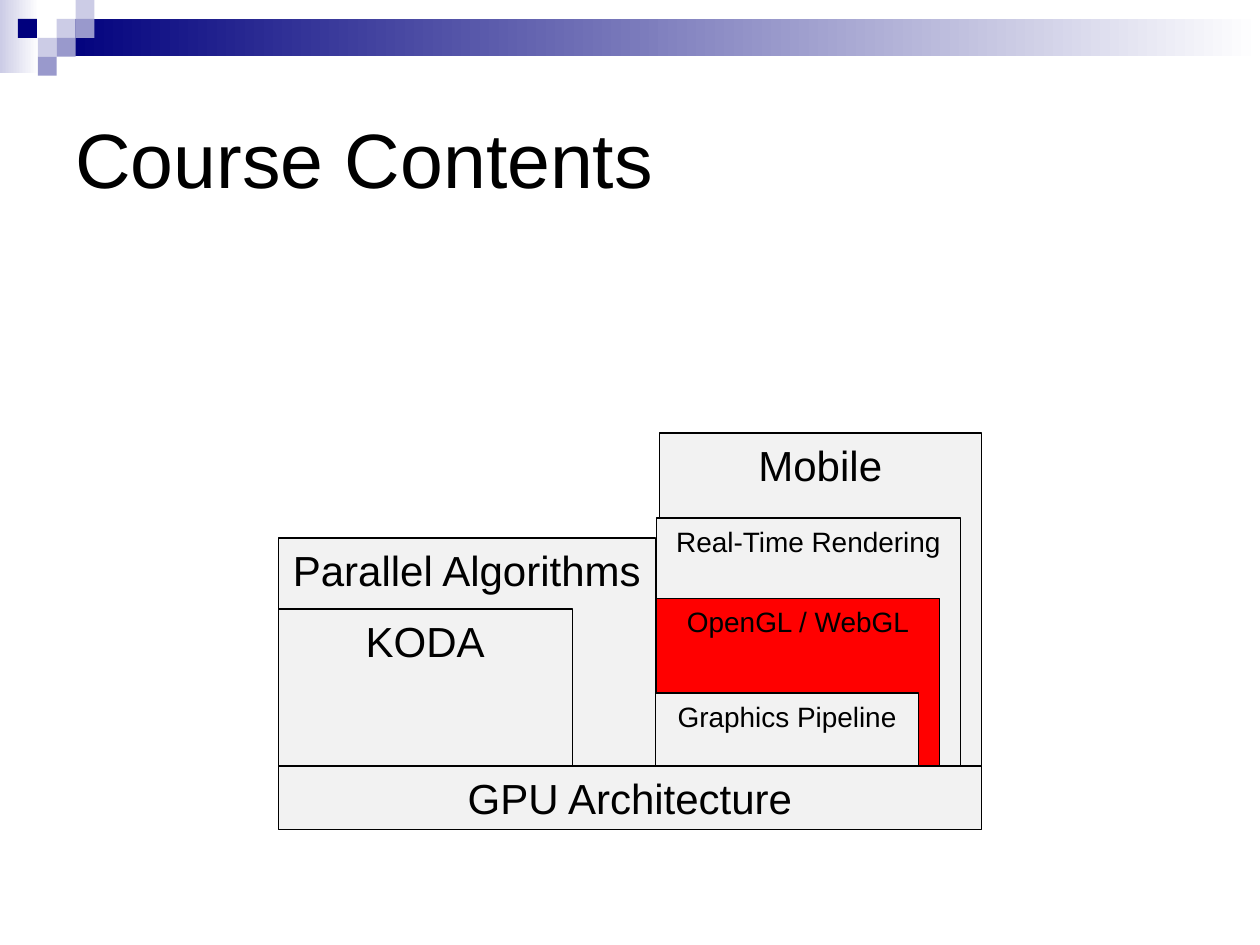
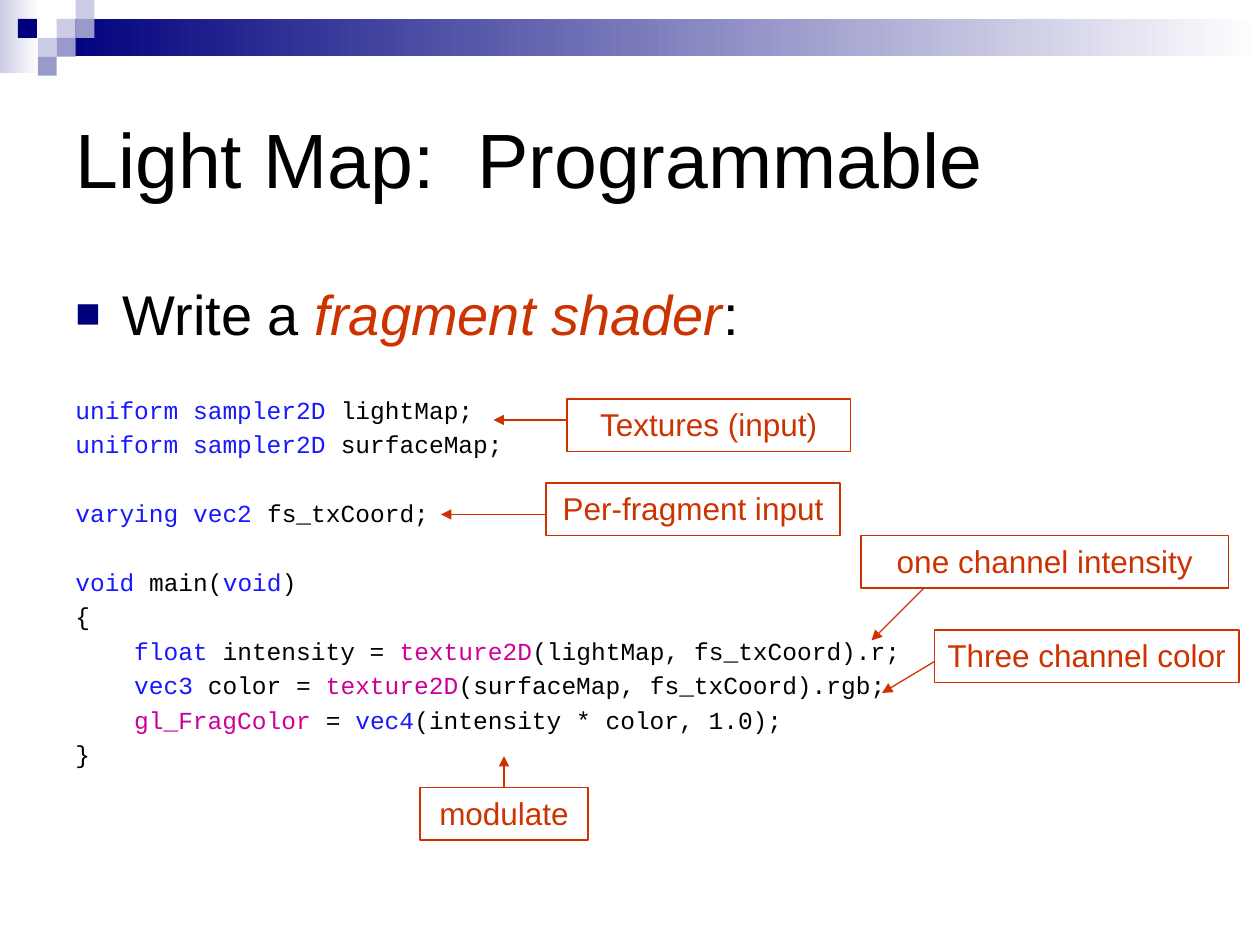
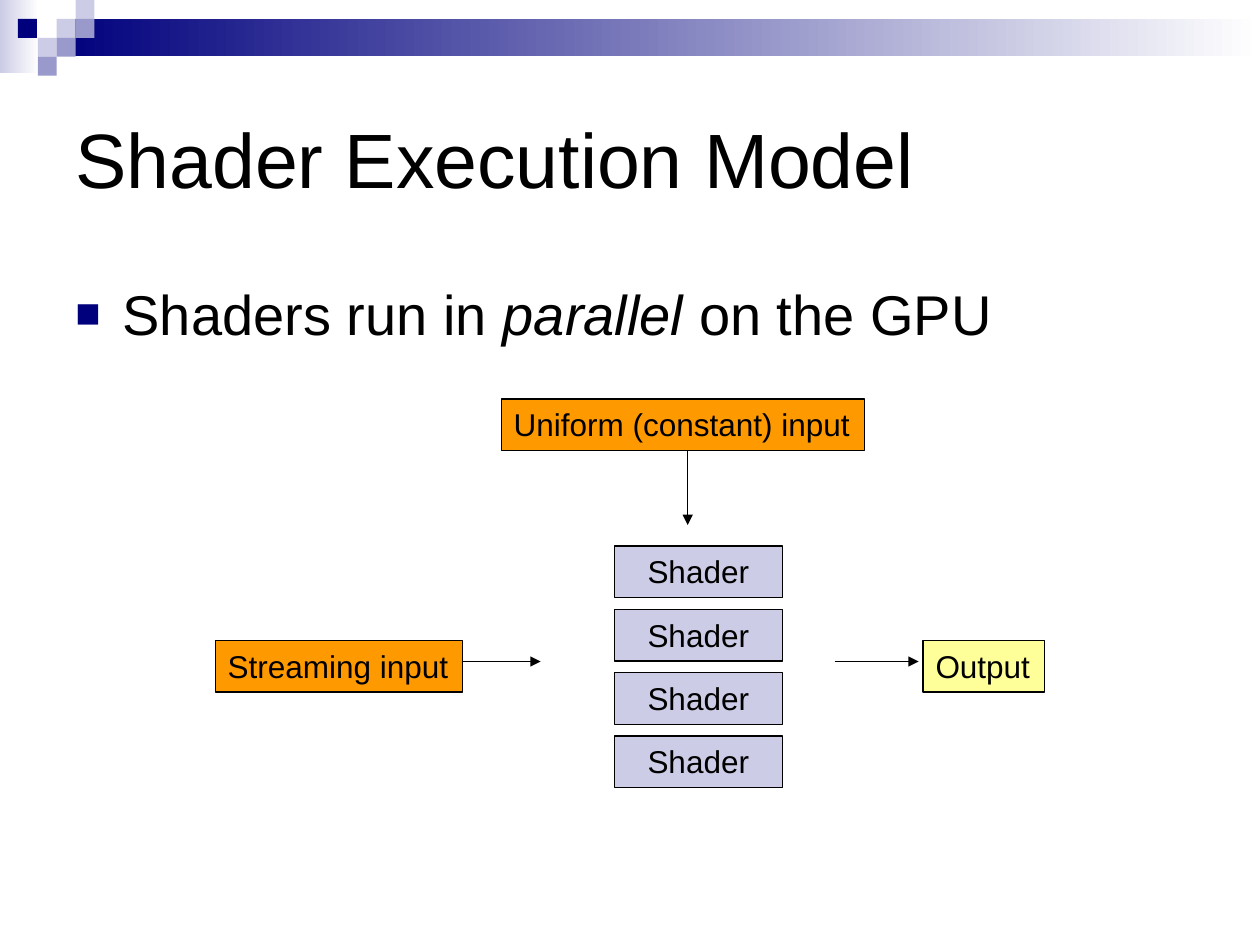
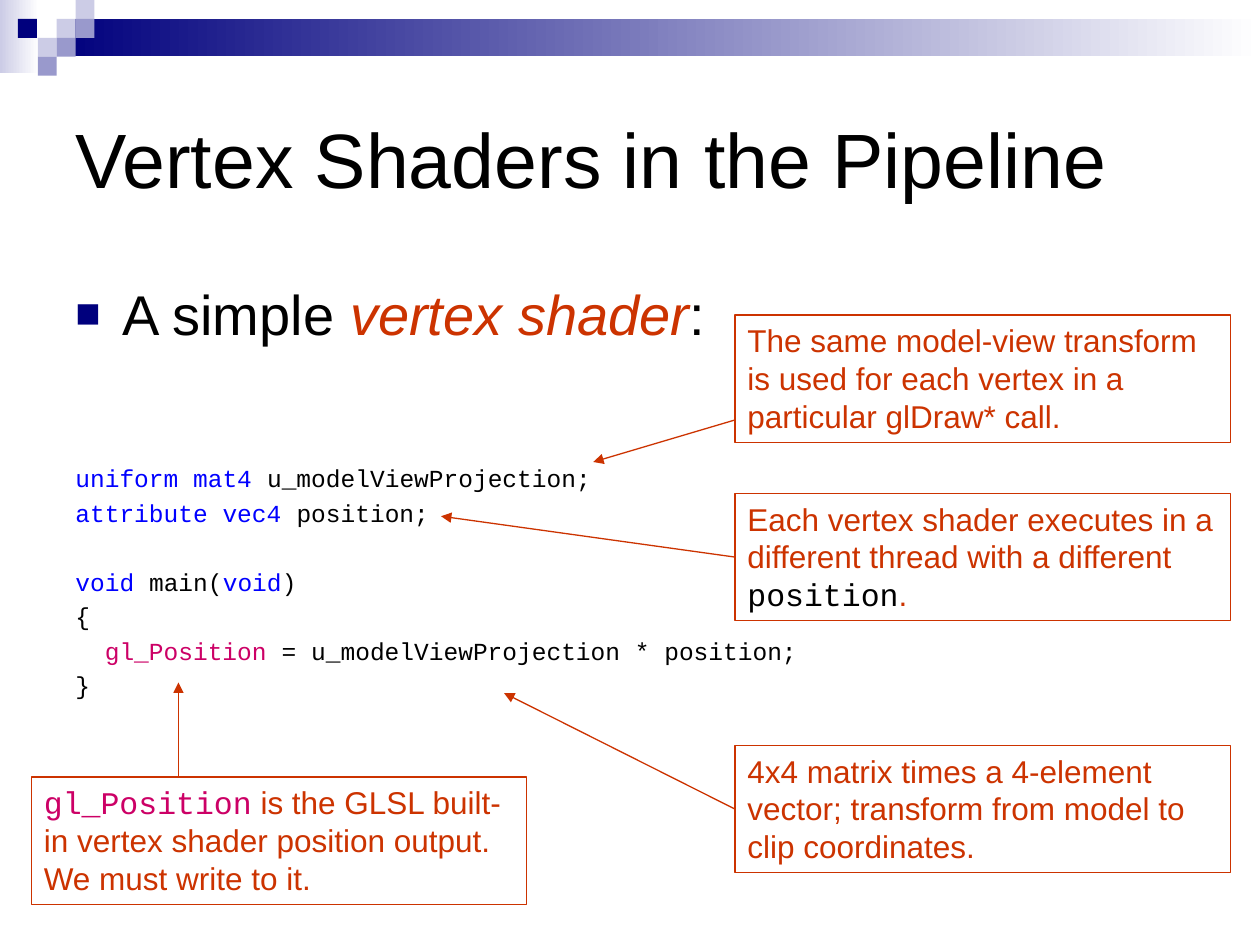
from typing import NamedTuple

from lxml import etree
from pptx import Presentation
from pptx.dml.color import RGBColor
from pptx.enum.shapes import MSO_CONNECTOR, MSO_SHAPE
from pptx.enum.text import MSO_ANCHOR, PP_ALIGN
from pptx.oxml.ns import qn
from pptx.util import Pt

RECT = MSO_SHAPE.RECTANGLE
STRAIGHT = MSO_CONNECTOR.STRAIGHT
TOP, MIDDLE = MSO_ANCHOR.TOP, MSO_ANCHOR.MIDDLE
LEFT, CENTER = PP_ALIGN.LEFT, PP_ALIGN.CENTER
SITE_TOP, SITE_LEFT = 0, 1

BLACK = RGBColor(0x00, 0x00, 0x00)
WHITE = RGBColor(0xFF, 0xFF, 0xFF)
NAVY = RGBColor(0x00, 0x00, 0x7D)
LAVENDER = RGBColor(0xCC, 0xCC, 0xE6)
PERIWINKLE = RGBColor(0x99, 0x99, 0xCC)
GRAY = RGBColor(0xF2, 0xF2, 0xF2)
RED = RGBColor(0xFF, 0x00, 0x00)
RUST = RGBColor(0xCC, 0x33, 0x00)
ORANGE = RGBColor(0xFF, 0x99, 0x00)
YELLOW = RGBColor(0xFF, 0xFF, 0x99)
KEYWORD = RGBColor(0x18, 0x18, 0xFF)
BLUE = RGBColor(0x00, 0x00, 0xFF)
MAGENTA = RGBColor(0xCC, 0x00, 0x99)
PINK = RGBColor(0xCC, 0x00, 0x66)

SANS, MONO = "Arial", "Courier New"
LINE_WIDTH = 0.75
GRID = 10.8
CODE_SIZE = 14
CODE_GAP = 2.9
CODE_PITCH = 19.6
CODE_CHAR = 8.4
CODE_TOP = 222
CODE_BOTTOM = 564
BULLET_INDENT = 27


class Run(NamedTuple):
    text: str
    color: RGBColor = BLACK
    font: str = SANS
    italic: bool = False


def add_runs(p, runs, size):
    for run in runs:
        r = p.add_run()
        r.text = run.text
        r.font.size = Pt(size)
        r.font.name = run.font
        r.font.italic = run.italic
        r.font.color.rgb = run.color


def add_rect(slide, box, fill=None, line=None):
    sp = slide.shapes.add_shape(RECT, *map(Pt, box))
    sp.shadow.inherit = False
    if fill is None:
        sp.fill.background()
    else:
        sp.fill.solid()
        sp.fill.fore_color.rgb = fill
    if line is None:
        sp.line.fill.background()
    else:
        sp.line.color.rgb = line
        sp.line.width = Pt(LINE_WIDTH)
    return sp


def add_fade(slide, box, color):
    """Rectangle fading from color to white, left to right."""
    fill = add_rect(slide, box).fill
    fill.gradient()
    fill.gradient_angle = 0
    for stop, stop_color, position in zip(fill.gradient_stops, (color, WHITE), (0, 1)):
        stop.color.rgb = stop_color
        stop.position = position


def add_box(slide, box, runs, size, fill=None, line=BLACK, align=CENTER, wrap=False):
    sp = add_rect(slide, box, fill, line)
    tf = sp.text_frame
    tf.word_wrap = wrap
    tf.vertical_anchor = TOP
    p = tf.paragraphs[0]
    p.alignment = align
    add_runs(p, runs, size)
    return sp


def add_callout(slide, box, *runs, align=CENTER, wrap=False):
    return add_box(slide, box, runs, 18, line=RUST, align=align, wrap=wrap)


def add_note(slide, left, top, *runs):
    return add_callout(slide, (left, top, 283, 72.7), *runs, align=LEFT, wrap=True)


def add_arrow(slide, start, end, color=RUST, source=None, site=None):
    """Arrow to end; source and site glue its start to a box side."""
    cxn = slide.shapes.add_connector(STRAIGHT, *map(Pt, start + end))
    if source is not None:
        cxn.begin_connect(source, site)
    cxn.line.color.rgb = color
    cxn.line.width = Pt(LINE_WIDTH)
    etree.SubElement(cxn.line._get_or_add_ln(), qn("a:tailEnd"), type="triangle")
    etree.SubElement(cxn._element.spPr, qn("a:effectLst"))


def add_text_frame(slide, box, anchor=TOP):
    tf = slide.shapes.add_textbox(*map(Pt, box)).text_frame
    tf.word_wrap = True
    tf.vertical_anchor = anchor
    return tf


def add_bullet(slide, height, *runs):
    p = add_text_frame(slide, (36, 156, 648, height)).paragraphs[0]
    add_runs(p, runs, 32)
    pPr = p._p.get_or_add_pPr()
    pPr.set("marL", str(Pt(BULLET_INDENT)))
    pPr.set("indent", str(-Pt(BULLET_INDENT)))
    color = etree.SubElement(pPr, qn("a:buClr"))
    etree.SubElement(color, qn("a:srgbClr"), val=str(NAVY))
    etree.SubElement(pPr, qn("a:buSzPct"), val="75000")
    etree.SubElement(pPr, qn("a:buFont"), typeface=SANS)
    etree.SubElement(pPr, qn("a:buChar"), char="■")


def add_code(slide, lines, start_line=0):
    """Each line is (skipped lines above, indent in characters, [(text, color), ...])."""
    top = CODE_TOP + start_line * CODE_PITCH
    tf = add_text_frame(slide, (36, top, 666, CODE_BOTTOM - top))
    for i, (skipped, indent, parts) in enumerate(lines):
        p = tf.add_paragraph() if i else tf.paragraphs[0]
        p.space_before = Pt(CODE_GAP + skipped * CODE_PITCH)
        p._p.get_or_add_pPr().set("marL", str(Pt(indent * CODE_CHAR)))
        add_runs(p, [Run(text, color, MONO) for text, color in parts], CODE_SIZE)


def add_base(prs, title):
    """New slide with the corner mosaic, the top band and the title."""
    slide = prs.slides.add_slide(prs.slide_layouts[6])
    add_fade(slide, (0, 0, 22.3, 41.8), LAVENDER)
    add_fade(slide, (3 * GRID, GRID, 720 - 3 * GRID, 21.2), NAVY)
    tiles = [(3, 1, LAVENDER), (4, 0, LAVENDER), (4, 1, PERIWINKLE), (2, 2, LAVENDER),
             (0.95, 1, NAVY), (3, 2, PERIWINKLE), (2, 3, PERIWINKLE)]
    for col, row, color in tiles:
        add_rect(slide, (col * GRID, row * GRID, GRID, GRID), color)
    tf = add_text_frame(slide, (36, 36, 648, 108), MIDDLE)
    add_runs(tf.paragraphs[0], [Run(title)], 44)
    return slide


def build_contents(prs):
    slide = add_base(prs, "Course Contents")
    blocks = [
        ("Mobile", (376.7, 247.5, 184, 211), 24, GRAY),
        ("Real-Time Rendering", (375, 296, 174, 143.3), 16, GRAY),
        ("OpenGL / WebGL", (375, 342, 162, 104.4), 16, RED),
        ("Graphics Pipeline", (374.5, 396, 150.5, 46), 16, GRAY),
        ("Parallel Algorithms", (159, 307.5, 215.5, 152.6), 24, GRAY),
        ("KODA", (159, 348, 168, 94.3), 24, GRAY),
        ("GPU Architecture", (159, 437.7, 402, 36.5), 24, GRAY),
    ]
    for label, box, size, fill in blocks:
        add_box(slide, box, [Run(label)], size, fill)


def build_light_map(prs):
    slide = add_base(prs, "Light Map:  Programmable")
    add_bullet(slide, 306, Run("Write a "), Run("fragment shader", RUST, italic=True), Run(":"))
    add_code(slide, [
        (0, 0, [("uniform sampler2D ", KEYWORD), ("lightMap;", BLACK)]),
        (0, 0, [("uniform sampler2D ", KEYWORD), ("surfaceMap;", BLACK)]),
        (1, 0, [("varying vec2 ", KEYWORD), ("fs_txCoord;", BLACK)]),
        (1, 0, [("void", KEYWORD), (" main(", BLACK), ("void", KEYWORD), (")", BLACK)]),
        (0, 0, [("{", BLACK)]),
        (0, 4, [("float", KEYWORD), (" intensity = ", BLACK), ("texture2D", MAGENTA),
                ("(lightMap, fs_txCoord).r;", BLACK)]),
        (0, 4, [("vec3", KEYWORD), (" color = ", BLACK), ("texture2D", MAGENTA),
                ("(surfaceMap, fs_txCoord).rgb;", BLACK)]),
        (0, 4, [("gl_FragColor ", MAGENTA), ("= ", BLACK), ("vec4", KEYWORD),
                ("(intensity * color, 1.0);", BLACK)]),
        (0, 0, [("}", BLACK)]),
    ])
    callouts = [
        ("Textures (input)", (324, 228, 162), (324, 240), (282, 240)),
        ("Per-fragment input", (312, 276, 168), (312, 294), (252, 294)),
        ("one channel intensity", (492, 306, 210), (528, 336), (498, 366)),
        ("Three channel color", (534, 360, 174), (534, 378), (504, 396)),
    ]
    for label, place, start, end in callouts:
        add_callout(slide, place + (30,), Run(label, RUST))
        add_arrow(slide, start, end)
    modulate = add_callout(slide, (240, 450, 96, 30), Run("modulate", RUST))
    add_arrow(slide, (288, 450), (288, 432), source=modulate, site=SITE_TOP)


def build_execution_model(prs):
    slide = add_base(prs, "Shader Execution Model")
    add_bullet(slide, 54, Run("Shaders run in "), Run("parallel", italic=True),
               Run(" on the GPU"))
    add_arrow(slide, (261, 378), (309, 378), BLACK)
    height = 29.5
    for i in range(4):
        add_box(slide, (351, 312 + i * 36.2, 96, height), [Run("Shader")], 18, LAVENDER)
    ends = [
        ("Streaming input", 123, 366, 141.3, ORANGE),
        ("Output", 527.5, 366, 69.3, YELLOW),
        ("Uniform (constant) input", 286.5, 228, 207.5, ORANGE),
    ]
    for label, left, top, width, fill in ends:
        add_box(slide, (left, top, width, height), [Run(label)], 18, fill, align=LEFT)
    add_arrow(slide, (477, 378), (525, 378), BLACK)
    add_arrow(slide, (393, 258), (393, 300), BLACK)


def build_vertex_shaders(prs):
    slide = add_base(prs, "Vertex Shaders in the Pipeline")
    add_bullet(slide, 306, Run("A simple "), Run("vertex shader", RUST, italic=True), Run(":"))
    add_code(slide, [
        (0, 0, [("uniform mat4 ", BLUE), ("u_modelViewProjection;", BLACK)]),
        (0, 0, [("attribute vec4", BLUE), (" position;", BLACK)]),
        (1, 0, [("void", BLUE), (" main(", BLACK), ("void", BLUE), (")", BLACK)]),
        (0, 0, [("{", BLACK)]),
        (0, 2, [("gl_Position", PINK), (" = u_modelViewProjection * position;", BLACK)]),
        (0, 0, [("}", BLACK)]),
    ], start_line=2)
    add_arrow(slide, (420, 240), (339, 264))
    add_note(slide, 420, 180, Run("The same model-view transform is used for each vertex "
                                  "in a particular glDraw* call.", RUST))
    thread = add_note(slide, 420, 282,
                      Run("Each vertex shader executes in a different thread "
                          "with a different ", RUST),
                      Run("position", BLACK, MONO), Run(".", RUST))
    add_arrow(slide, (420, 318.4), (252, 295), source=thread, site=SITE_LEFT)
    add_note(slide, 18, 444, Run("gl_Position", PINK, MONO),
             Run(" is the GLSL built-in vertex shader position output.  "
                 "We must write to it.", RUST))
    add_arrow(slide, (102, 444), (102, 390))
    matrix = add_note(slide, 420, 426, Run("4x4 matrix times a 4-element vector; "
                                           "transform from model to clip coordinates.", RUST))
    add_arrow(slide, (420, 462.4), (288, 396), source=matrix, site=SITE_LEFT)


def main():
    prs = Presentation()
    prs.slide_width, prs.slide_height = Pt(720), Pt(540)
    build_contents(prs)
    build_light_map(prs)
    build_execution_model(prs)
    build_vertex_shaders(prs)
    prs.save("out.pptx")


if __name__ == "__main__":
    main()
